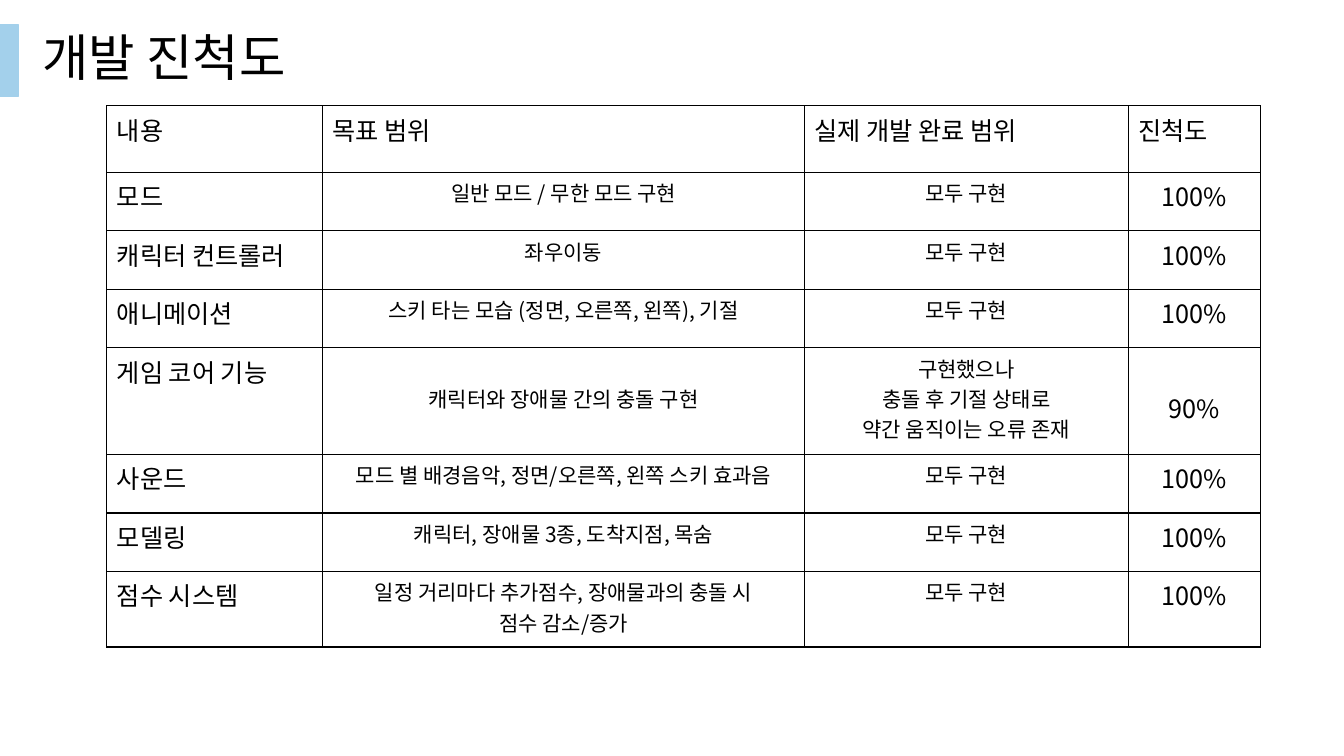
from lxml.etree import SubElement
from pptx import Presentation
from pptx.dml.color import RGBColor
from pptx.enum.shapes import MSO_SHAPE
from pptx.enum.text import MSO_ANCHOR, MSO_AUTO_SIZE, PP_ALIGN
from pptx.oxml import parse_xml
from pptx.oxml.ns import nsdecls, qn
from pptx.util import Inches, Pt

FONT = "Noto Sans CJK KR"
COLORS = {"text": "000000", "accent": "A3D0EB", "border": "000000"}
LABEL, DETAIL = 18, 15
COL_SIZES = (LABEL, DETAIL, DETAIL, LABEL)
COL_WIDTHS = (2.14, 4.78, 3.21, 1.31)
ROW_HEIGHTS = (0.66, 0.58, 0.58, 0.58, 1.06, 0.58, 0.58, 0.75)
LINE_HEIGHT = 1.45  # share of the font size
DONE = "모두 구현"
PROGRESS = (
    ("내용", "목표 범위", "실제 개발 완료 범위", "진척도"),
    ("모드", "일반 모드 / 무한 모드 구현", DONE, "100%"),
    ("캐릭터 컨트롤러", "좌우이동", DONE, "100%"),
    ("애니메이션", "스키 타는 모습 (정면, 오른쪽, 왼쪽), 기절", DONE, "100%"),
    ("게임 코어 기능", "캐릭터와 장애물 간의 충돌 구현",
     "구현했으나\n충돌 후 기절 상태로\n약간 움직이는 오류 존재", "90%"),
    ("사운드", "모드 별 배경음악, 정면/오른쪽, 왼쪽 스키 효과음", DONE, "100%"),
    ("모델링", "캐릭터, 장애물 3종, 도착지점, 목숨", DONE, "100%"),
    ("점수 시스템", "일정 거리마다 추가점수, 장애물과의 충돌 시\n점수 감소/증가", DONE, "100%"),
)
LOWERED = {(4, 1), (4, 3)}  # cells whose text starts one line down


def rgb(name):
    return RGBColor.from_string(COLORS[name])


def add_text(tf, text, size, align):
    for i, line in enumerate(text.split("\n")):
        p = tf.paragraphs[0] if i == 0 else tf.add_paragraph()
        p.alignment = align
        r = p.add_run()
        r.text = line
        r.font.size = Pt(size)
        r.font.name = FONT
        r.font.color.rgb = rgb("text")
        SubElement(r.font._element, qn("a:ea"), typeface=FONT)


def set_borders(cell):
    tc_pr = cell._tc.get_or_add_tcPr()
    for i, side in enumerate("LRTB"):
        tc_pr.insert(i, parse_xml(
            f'<a:ln{side} {nsdecls("a")} w="{Pt(1)}"><a:solidFill>'
            f'<a:srgbClr val="{COLORS["border"]}"/></a:solidFill></a:ln{side}>'))


def add_heading(s, left, top, width, height):
    title = s.shapes.title
    title.left, title.top = Inches(left), Inches(top)
    title.width, title.height = Inches(width), Inches(height)
    tf = title.text_frame
    tf.word_wrap = False
    tf.auto_size = MSO_AUTO_SIZE.SHAPE_TO_FIT_TEXT
    tf.vertical_anchor = MSO_ANCHOR.TOP
    add_text(tf, "개발 진척도", 36, PP_ALIGN.LEFT)


def add_accent(s, left, top, width, height):
    bar = s.shapes.add_shape(MSO_SHAPE.RECTANGLE, Inches(left), Inches(top),
                             Inches(width), Inches(height))
    bar.shadow.inherit = False
    bar.fill.solid()
    bar.fill.fore_color.rgb = rgb("accent")
    bar.line.color.rgb = rgb("accent")
    bar.line.width = Pt(1)


def add_progress_table(s, left, top):
    table = s.shapes.add_table(
        len(ROW_HEIGHTS), len(COL_WIDTHS), Inches(left), Inches(top),
        Inches(sum(COL_WIDTHS)), Inches(sum(ROW_HEIGHTS))).table
    table.first_row = table.horz_banding = False
    for column, width in zip(table.columns, COL_WIDTHS):
        column.width = Inches(width)
    for row, height in zip(table.rows, ROW_HEIGHTS):
        row.height = Inches(height)
    for i, texts in enumerate(PROGRESS):
        for j, text in enumerate(texts):
            cell = table.cell(i, j)
            size = LABEL if i == 0 else COL_SIZES[j]
            align = PP_ALIGN.LEFT if i == 0 or j == 0 else PP_ALIGN.CENTER
            cell.fill.background()
            set_borders(cell)
            add_text(cell.text_frame, text, size, align)
            if (i, j) in LOWERED:
                cell.margin_top = Inches(0.05) + Pt(size * LINE_HEIGHT)


def main():
    prs = Presentation()
    prs.slide_width, prs.slide_height = Inches(13.33), Inches(7.5)
    s = prs.slides.add_slide(prs.slide_layouts[5])
    add_heading(s, 0.32, 0.21, 2.77, 0.71)
    add_accent(s, 0, 0.24, 0.18, 0.72)
    add_progress_table(s, 1.06, 1.05)
    prs.save("out.pptx")


if __name__ == "__main__":
    main()
